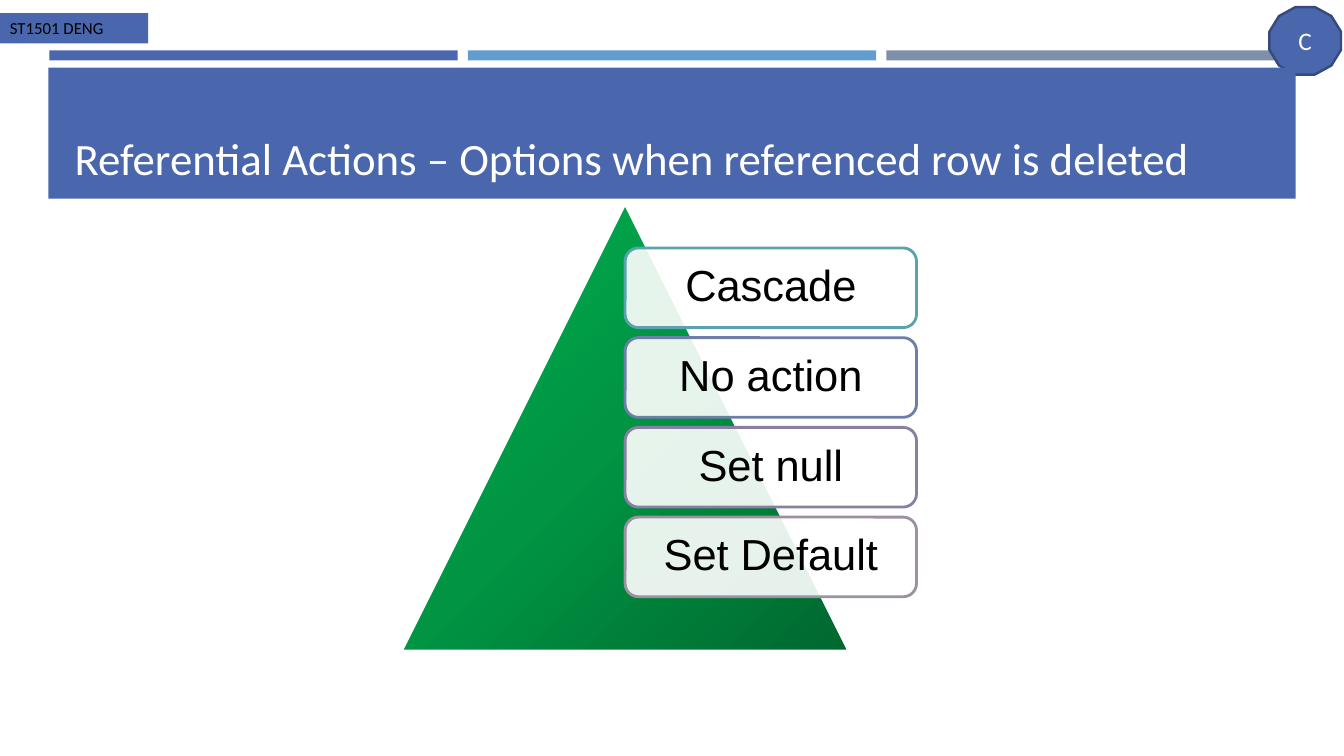
from lxml.etree import SubElement
from pptx import Presentation
from pptx.dml.color import RGBColor
from pptx.enum.shapes import MSO_SHAPE as Shape
from pptx.enum.text import MSO_ANCHOR as Anchor, MSO_AUTO_SIZE as AutoSize, PP_ALIGN as Align
from pptx.oxml import parse_xml
from pptx.oxml.ns import nsdecls, qn
from pptx.util import Inches, Pt

COLORS = {
    "blue": "4A66AC", "sky": "629DD1", "slate": "7F8FA9", "navy": "364A7D",
    "white": "FFFFFF", "black": "000000",
    "teal": "5AA2AE", "steel": "6D7FA8", "violet": "887FA3", "mauve": "9D90A0",
    "dark green": "00682F", "mid green": "009443", "green": "00B050",
}


class SlideBuilder:
    def __init__(self, slide):
        self.slide = slide

    def color(self, name):
        return RGBColor.from_string(COLORS[name])

    def shape(self, kind, left, top, width, height, fill, line=None, line_width=2, opacity=100):
        shape = self.slide.shapes.add_shape(
            kind, Inches(left), Inches(top), Inches(width), Inches(height))
        shape.shadow.inherit = False
        shape.fill.solid()
        shape.fill.fore_color.rgb = self.color(fill)
        if opacity < 100:
            srgb = shape.fill._xPr.find(qn("a:solidFill"))[0]
            SubElement(srgb, qn("a:alpha"), val=str(opacity * 1000))
        if line:
            shape.line.color.rgb = self.color(line)
            shape.line.width = Pt(line_width)
        else:
            shape.line.fill.background()
        return shape

    def radial_gradient(self, shape, stops):
        """Replace the fill with a gradient spreading from the bottom right corner."""
        marks = "".join(
            f'<a:gs pos="{position * 1000}"><a:srgbClr val="{COLORS[name]}"/></a:gs>'
            for position, name in stops)
        gradient = parse_xml(
            f'<a:gradFill {nsdecls("a")} rotWithShape="1"><a:gsLst>{marks}</a:gsLst>'
            '<a:path path="circle"><a:fillToRect l="100000" t="100000" r="0" b="0"/></a:path>'
            '</a:gradFill>')
        solid = shape.fill._xPr.find(qn("a:solidFill"))
        solid.getparent().replace(solid, gradient)

    def text(self, shape, words, size, color, font="Calibri", align=Align.CENTER,
             anchor=Anchor.MIDDLE, inset=(0.1, 0.05), spacing=1.0):
        frame = shape.text_frame
        frame.word_wrap = True
        frame.auto_size = AutoSize.NONE
        frame.vertical_anchor = anchor
        frame.margin_left = frame.margin_right = Inches(inset[0])
        frame.margin_top = frame.margin_bottom = Inches(inset[1])
        para = frame.paragraphs[0]
        para.alignment = align
        para.line_spacing = spacing
        span = para.add_run()
        span.text = words
        span.font.name = font
        span.font.size = Pt(size)
        span.font.color.rgb = self.color(color)

    def title(self, words, left, top, width, height):
        title = self.slide.shapes.title
        title.left, title.top = Inches(left), Inches(top)
        title.width, title.height = Inches(width), Inches(height)
        self.text(title, words, 32, "white", align=Align.LEFT, anchor=Anchor.BOTTOM)
        # Bring the title in front of its banner
        title._element.getparent().append(title._element)

    def card(self, words, top, line):
        card = self.shape(Shape.ROUNDED_RECTANGLE, 6.2, top, 2.89, 0.79, "white", line, opacity=90)
        self.text(card, words, 31, "black", font="Arial", inset=(0.13, 0.13), spacing=0.9)


def main():
    deck = Presentation()
    deck.slide_width, deck.slide_height = Inches(13.33), Inches(7.5)
    page = SlideBuilder(deck.slides.add_slide(deck.slide_layouts[5]))

    for column, color in enumerate(("blue", "sky", "slate")):
        page.shape(Shape.RECTANGLE, 0.49 + column * 4.15, 0.5, 4.05, 0.1, color)
    badge = page.shape(Shape.DODECAGON, 12.59, 0.07, 0.71, 0.67, "blue", "navy", 1.75)
    page.text(badge, "C", 18, "white")
    module_tag = page.shape(Shape.RECTANGLE, 0, 0.13, 1.47, 0.3, "blue")
    page.text(module_tag, "ST1501 DENG", 12, "black", align=Align.LEFT)
    page.shape(Shape.RECTANGLE, 0.48, 0.67, 12.37, 1.3, "blue")
    page.title("Referential Actions – Options when referenced row is deleted",
               0.64, 0.77, 12.06, 1.11)

    pyramid = page.shape(Shape.ISOSCELES_TRIANGLE, 3.98, 2.02, 4.44, 4.44, "green", "white")
    page.radial_gradient(pyramid, [(0, "dark green"), (50, "mid green"), (100, "green")])
    options = [("Cascade", "teal"), ("No action", "steel"),
               ("Set null", "violet"), ("Set Default", "mauve")]
    for row, (words, line) in enumerate(options):
        page.card(words, 2.46 + row * 0.89, line)

    deck.save("out.pptx")


if __name__ == "__main__":
    main()
